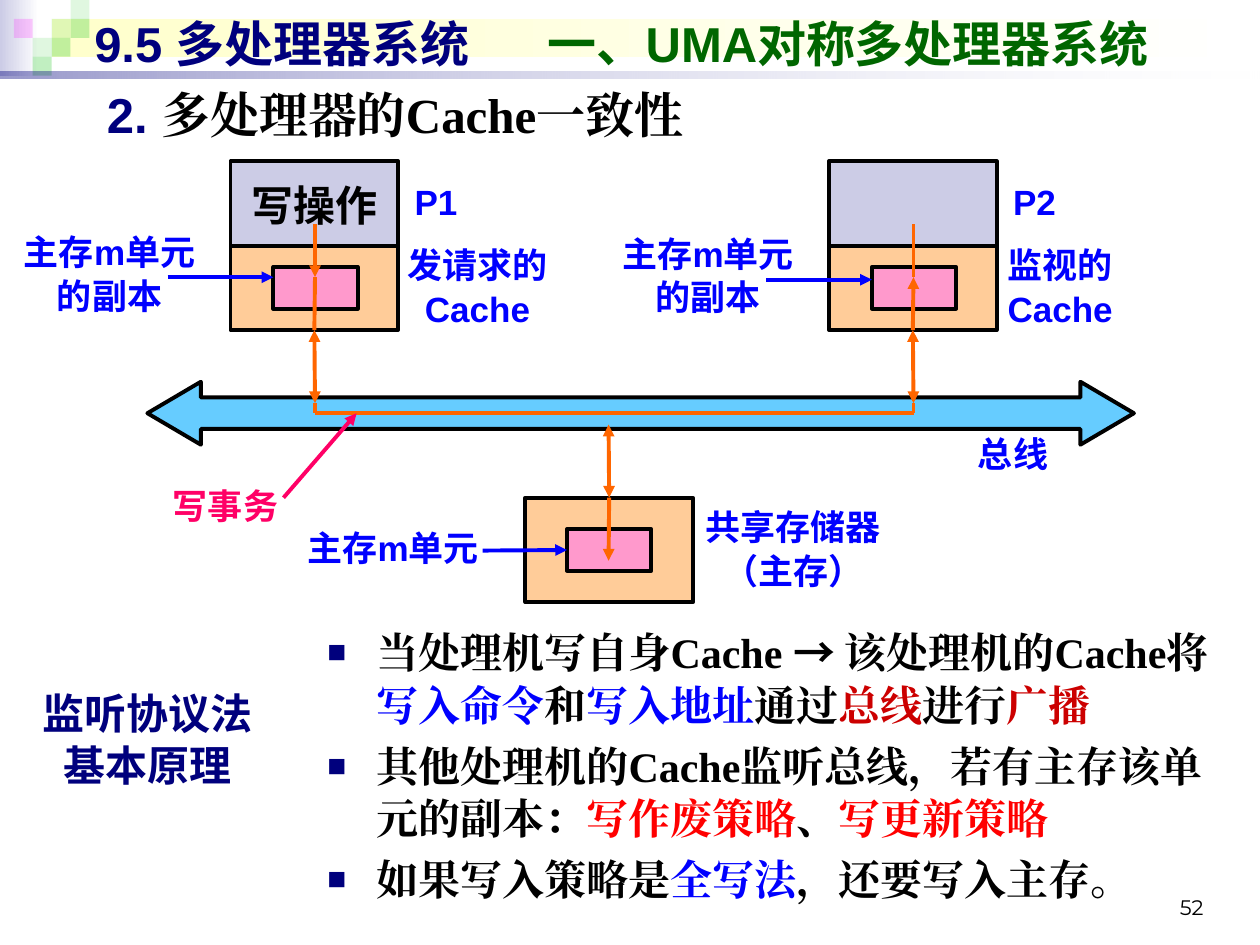
"""Build the slide on bus snooping and cache coherence in a symmetric multiprocessor."""
import dataclasses
import typing

import lxml.etree
import pptx
import pptx.dml.color
import pptx.enum.shapes
import pptx.enum.text
import pptx.oxml.ns
import pptx.util

Inches = pptx.util.Inches
Shapes = pptx.enum.shapes.MSO_SHAPE
Align = pptx.enum.text.PP_ALIGN
Anchor = pptx.enum.text.MSO_ANCHOR
qn = pptx.oxml.ns.qn


@dataclasses.dataclass(frozen=True)
class Theme:
    navy: str = "00007D"
    green: str = "006600"
    black: str = "000000"
    white: str = "FFFFFF"
    blue: str = "0000FF"
    crimson: str = "CC0000"
    red: str = "FF0000"
    pink: str = "FF0066"
    orange: str = "FF6600"
    processor: str = "CCCCE6"
    cache: str = "FFCC99"
    unit: str = "FF99CC"
    bus: str = "66CCFF"
    leaf: str = "33CC33"
    magenta: str = "FF00FF"
    cream: str = "FFFFCC"
    sans: str = "Arial"
    serif: str = "Times New Roman"
    symbol: str = "Noto Sans CJK SC"
    number_font: str = "Montserrat"
    title: int = 28
    body: int = 24
    label: int = 20
    number: int = 12
    stroke: float = 2.25


THEME = Theme()


class Run(typing.NamedTuple):
    text: str
    color: str = THEME.black
    font: str = THEME.serif


class Box(typing.NamedTuple):
    left: float
    top: float
    width: float
    height: float


class Label(typing.NamedTuple):
    text: str
    box: Box
    color: str = THEME.blue
    size: int = THEME.label


class Wire(typing.NamedTuple):
    start: tuple
    end: tuple
    color: str = THEME.orange
    arrows: tuple = ()
    start_join: tuple = ()
    end_join: tuple = ()


def rgb(color: str):
    return pptx.dml.color.RGBColor.from_string(color)


def write(frame, paragraphs: list, *, size: int, align=Align.LEFT, anchor=Anchor.TOP, wrap=True,
          bold=True, bullet=False, hanging=0.0, tab=0.0, top_inset=0.05, spacing=1.04) -> None:
    frame.word_wrap = wrap
    frame.vertical_anchor = anchor
    frame.margin_top = Inches(top_inset)
    for index, runs in enumerate(paragraphs):
        paragraph = frame.paragraphs[0] if index == 0 else frame.add_paragraph()
        paragraph.alignment = align
        paragraph.line_spacing = spacing
        paragraph.space_before = pptx.util.Pt(5 if index else 0)
        properties = paragraph._p.get_or_add_pPr()
        if hanging:
            properties.set("marL", str(Inches(hanging)))
            properties.set("indent", str(-Inches(hanging)))
        if bullet:
            color = lxml.etree.SubElement(properties, qn("a:buClr"))
            lxml.etree.SubElement(color, qn("a:srgbClr"), val=THEME.navy)
            lxml.etree.SubElement(properties, qn("a:buSzPct"), val="75000")
            lxml.etree.SubElement(properties, qn("a:buFont"), typeface=THEME.sans)
            lxml.etree.SubElement(properties, qn("a:buChar"), char="■")
        if tab:
            tabs = lxml.etree.SubElement(properties, qn("a:tabLst"))
            lxml.etree.SubElement(tabs, qn("a:tab"), pos=str(Inches(tab)), algn="l")
        for text, color, font in runs:
            run = paragraph.add_run()
            run.text = text
            run.font.size = pptx.util.Pt(size)
            run.font.bold = bold
            run.font.name = font
            run.font.color.rgb = rgb(color)
            run_properties = run._r.get_or_add_rPr()
            run_properties.set("lang", "zh-CN")
            latin = run_properties.find(qn("a:latin"))
            latin.addnext(latin.makeelement(qn("a:ea"), {"typeface": font}))


def add_text(slide, box: Box, paragraphs: list, **formatting) -> None:
    write(slide.shapes.add_textbox(*map(Inches, box)).text_frame, paragraphs, **formatting)


def add_block(slide, box: Box, colors: tuple, opacity: tuple = (), outlined=False, kind=Shapes.RECTANGLE):
    shape = slide.shapes.add_shape(kind, *map(Inches, box))
    shape.shadow.inherit = False
    if len(colors) == 1:
        shape.fill.solid()
        shape.fill.fore_color.rgb = rgb(colors[0])
    else:
        shape.fill.gradient()
        shape.fill.gradient_angle = 0
        for stop, color in zip(shape.fill.gradient_stops, colors):
            stop.color.rgb = rgb(color)
    for element, percent in zip(list(shape._element.spPr.iter(qn("a:srgbClr"))), opacity):
        lxml.etree.SubElement(element, qn("a:alpha"), val=str(percent * 1000))
    if outlined:
        shape.line.color.rgb = rgb(THEME.black)
        shape.line.width = pptx.util.Pt(THEME.stroke)
    else:
        shape.line.fill.background()
    return shape


def add_wire(slide, wire: Wire) -> None:
    straight = pptx.enum.shapes.MSO_CONNECTOR.STRAIGHT
    connector = slide.shapes.add_connector(straight, *map(Inches, wire.start + wire.end))
    connector.line.color.rgb = rgb(wire.color)
    connector.line.width = pptx.util.Pt(THEME.stroke)
    if wire.start_join:
        connector.begin_connect(*wire.start_join)
    if wire.end_join:
        connector.end_connect(*wire.end_join)
    line = connector.line._get_or_add_ln()
    for end in wire.arrows:
        lxml.etree.SubElement(line, qn(f"a:{end}End"), type="triangle")
    lxml.etree.SubElement(connector._element.spPr, qn("a:effectLst"))


def add_banner(slide) -> None:
    add_block(slide, Box(0, 0, 0.31, 0.6), (THEME.processor, THEME.white))
    add_block(slide, Box(0.41, 0.15, 9.55, 0.3), (THEME.cream, THEME.white))
    tiles = [(2, 1, 15), (3, 0, 15), (3, 1, 30), (1, 2, 15), (0, 1, 20), (2, 2, 30), (1, 3, 30)]
    for column, row, percent in tiles:
        color = THEME.leaf if column else THEME.magenta
        add_block(slide, Box(0.11 + 0.15 * column, 0.15 * row, 0.15, 0.15), (color,), (percent,))
    add_block(slide, Box(0, 0.57, 10, 0.05), (THEME.navy, THEME.white), (40, 10))
    title = [Run("9.5 多处理器系统\t", THEME.navy, THEME.sans), Run("一、UMA对称多处理器系统", THEME.green, THEME.sans)]
    add_text(slide, Box(0.65, 0.05, 9, 0.57), [title], size=THEME.title, anchor=Anchor.MIDDLE, tab=3.6)
    heading = [Run("2. ", THEME.navy, THEME.sans), Run("多处理器的Cache一致性")]
    add_text(slide, Box(0.75, 0.6, 8.9, 0.63), [heading], size=THEME.title, hanging=0.39)


def add_processor(slide, left: float, caption: str, writes: bool, pointer: float) -> None:
    middle = left + 0.67
    processor = add_block(slide, Box(left, 1.28, 1.33, 0.67), (THEME.processor,), outlined=True)
    if caption:
        write(processor.text_frame, [[Run(caption, THEME.black, THEME.sans)]], size=THEME.body,
              align=Align.CENTER, anchor=Anchor.MIDDLE, wrap=False)
    cache = add_block(slide, Box(left, 1.95, 1.33, 0.67), (THEME.cache,), outlined=True)
    add_block(slide, Box(left + 0.34, 2.12, 0.67, 0.33), (THEME.unit,), outlined=True)
    bottom = (cache, 2)
    for wire in (
        Wire((middle, 1.78), (middle, 2.2), arrows=("tail",) if writes else ()),
        Wire((middle, 2.2), (middle, 2.62), arrows=() if writes else ("head",), end_join=bottom),
        Wire((middle, 2.62), (middle, 3.2), arrows=("head", "tail"), start_join=bottom),
        Wire((middle, 3.2), (middle, 3.28)),
        Wire((left - 0.5, pointer), (left + 0.34, pointer), THEME.blue, ("tail",)),
    ):
        add_wire(slide, wire)


def add_memory(slide) -> None:
    memory = add_block(slide, Box(4.17, 3.95, 1.33, 0.83), (THEME.cache,), outlined=True)
    unit = add_block(slide, Box(4.5, 4.2, 0.67, 0.33), (THEME.unit,), outlined=True)
    add_wire(slide, Wire((4.83, 3.37), (4.83, 3.95), arrows=("head", "tail"), end_join=(memory, 0)))
    add_wire(slide, Wire((4.83, 3.95), (4.83, 4.45), arrows=("tail",), start_join=(memory, 0)))
    add_wire(slide, Wire((3.83, 4.37), (4.5, 4.37), THEME.blue, ("tail",), end_join=(unit, 1)))


def add_labels(slide) -> None:
    for label in (
        Label("主存m单元的副本", Box(0.08, 1.77, 1.58, 0.77)),
        Label("P1", Box(3.17, 1.37, 0.58, 0.43)),
        Label("P2", Box(7.92, 1.37, 0.58, 0.43)),
        Label("发请求的Cache", Box(3.08, 1.87, 1.42, 0.77)),
        Label("监视的Cache", Box(7.83, 1.87, 1.17, 0.77)),
        Label("主存m单元的副本", Box(4.83, 1.78, 1.58, 0.77)),
        Label("总线", Box(7.58, 3.37, 0.92, 0.43)),
        Label("写事务", Box(1.25, 3.78, 1.08, 0.43), THEME.pink),
        Label("主存m单元", Box(2.33, 4.12, 1.58, 0.43)),
        Label("共享存储器（主存）", Box(5.42, 3.95, 1.75, 0.77)),
        Label("监听协议法基本原理", Box(0.17, 5.39, 2, 0.9), THEME.navy, THEME.body),
    ):
        add_text(slide, label.box, [[Run(label.text, label.color, THEME.sans)]], size=label.size, align=Align.CENTER)


def add_principles(slide) -> None:
    principles = [
        [Run("当处理机写自身Cache "), Run("→ ", font=THEME.symbol), Run("该处理机的Cache将"),
         Run("写入命令", THEME.blue), Run("和"), Run("写入地址", THEME.blue), Run("通过"),
         Run("总线", THEME.crimson), Run("进行"), Run("广播", THEME.crimson)],
        [Run("其他处理机的Cache监听总线，若有主存该单元的副本："), Run("写作废策略", THEME.red),
         Run("、"), Run("写更新策略", THEME.red)],
        [Run("如果写入策略是"), Run("全写法", THEME.blue), Run("，还要写入主存。")],
    ]
    add_text(slide, Box(2.5, 4.96, 7.33, 2.33), principles, size=THEME.body, bullet=True, hanging=0.39, top_inset=0)


def main() -> None:
    presentation = pptx.Presentation()
    presentation.slide_width, presentation.slide_height = Inches(10), Inches(7.5)
    slide = presentation.slides.add_slide(presentation.slide_layouts[6])
    add_banner(slide)
    bus = add_block(slide, Box(1.17, 3.03, 7.83, 0.5), (THEME.bus,), outlined=True, kind=Shapes.LEFT_RIGHT_ARROW)
    bus.adjustments[0], bus.adjustments[1] = 0.5, 0.85
    add_processor(slide, 1.83, "写操作", True, 2.2)
    add_processor(slide, 6.58, "", False, 2.22)
    add_wire(slide, Wire((2.5, 3.28), (7.25, 3.28)))
    add_memory(slide)
    add_wire(slide, Wire((2.25, 3.95), (2.83, 3.28), THEME.pink, ("tail",)))
    add_labels(slide)
    add_principles(slide)
    add_text(slide, Box(7.17, 6.83, 2.48, 0.52), [[Run("52", THEME.black, THEME.number_font)]],
             size=THEME.number, bold=False, align=Align.RIGHT, anchor=Anchor.BOTTOM, spacing=1.0)
    presentation.save("out.pptx")


if __name__ == "__main__":
    main()
